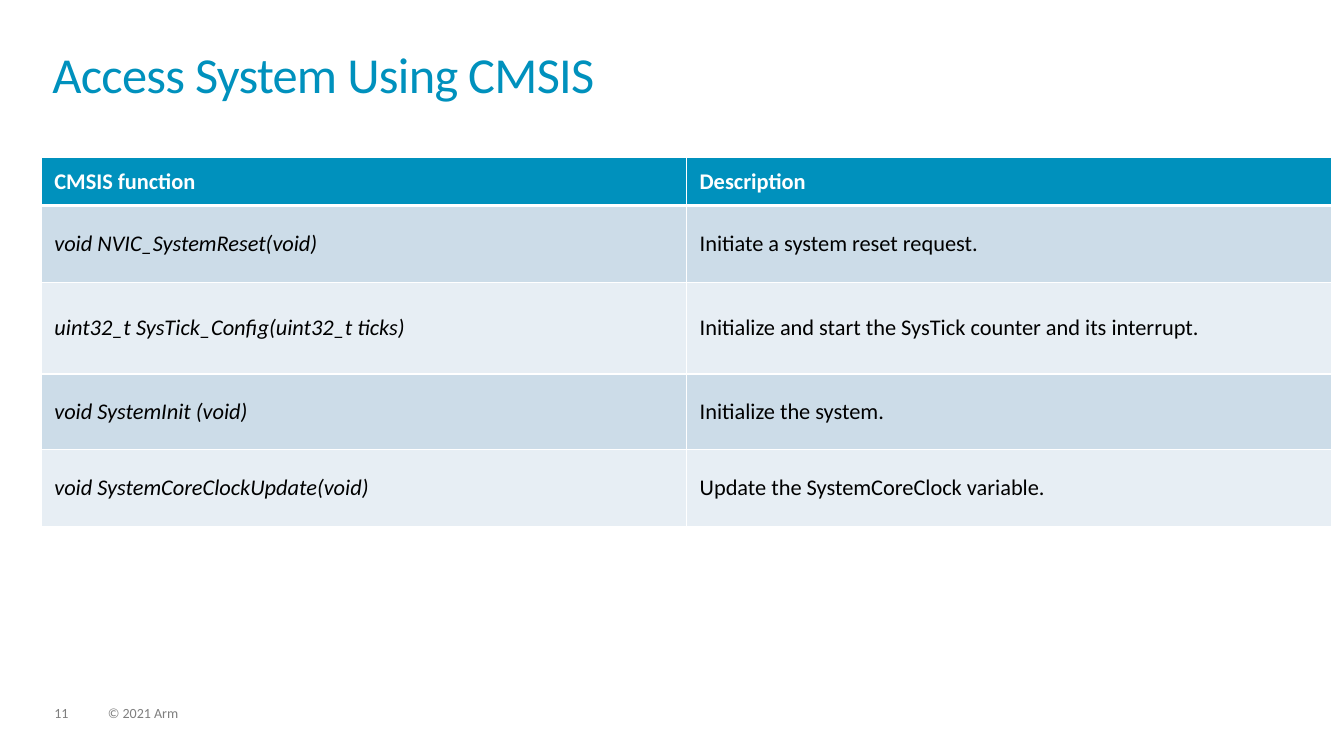
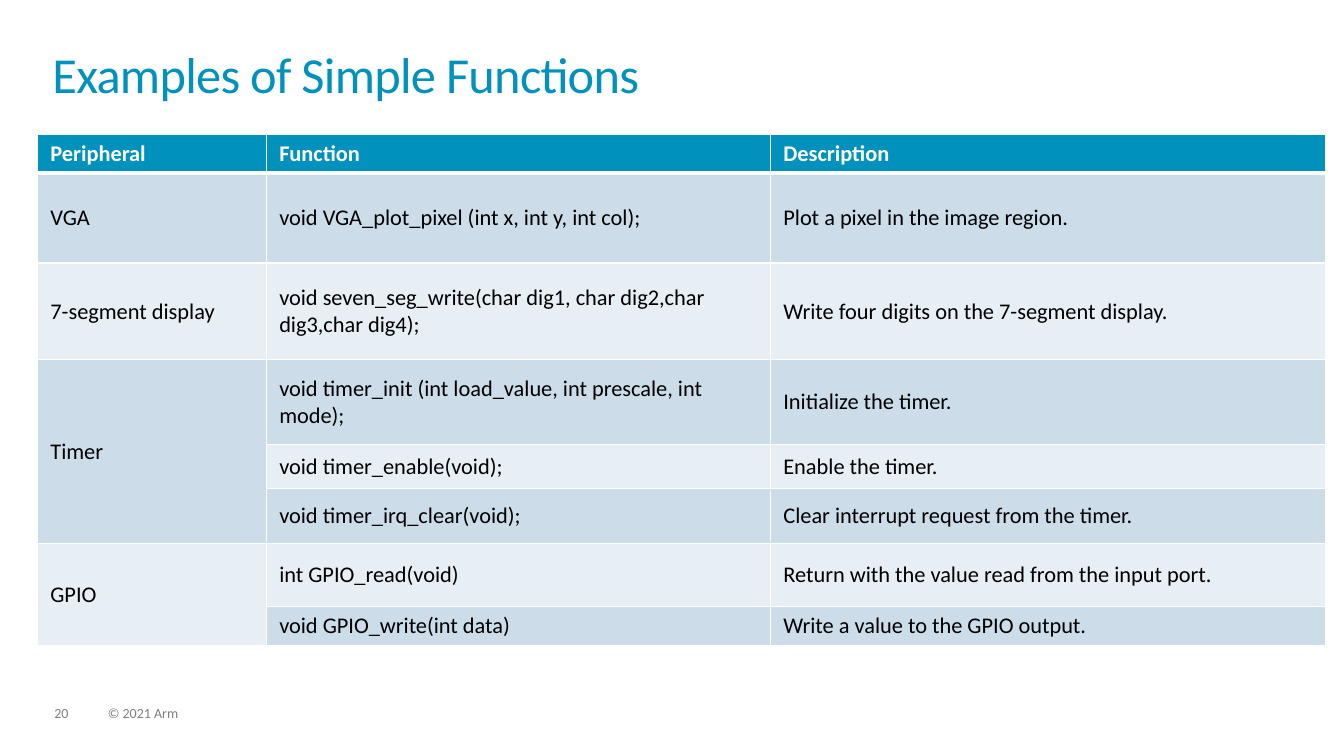
import pptx
import pptx.util
import pptx.dml.color
import pptx.enum.text
import pptx.oxml.ns
from lxml import etree

Inches, Pt = pptx.util.Inches, pptx.util.Pt
RGB = pptx.dml.color.RGBColor
Anchor = pptx.enum.text.MSO_ANCHOR
Fit = pptx.enum.text.MSO_AUTO_SIZE
qn = pptx.oxml.ns.qn

BLUE = RGB(0x00, 0x91, 0xBD)
GRAY = RGB(0x7F, 0x7F, 0x7F)
WHITE = RGB(0xFF, 0xFF, 0xFF)
BLACK = RGB(0x00, 0x00, 0x00)
BANDS = (RGB(0xE7, 0xEE, 0xF4), RGB(0xCC, 0xDC, 0xE8))
FONT = "Calibri"
RIGHTS = "© 2021 Arm"

SLIDES = [
    {
        "title": "Access System Using CMSIS",
        "page": "11",
        "at": (0.41, 1.56),
        "cols": (6.4, 6.4),
        "rows": (0.48, 0.76, 0.91, 0.75, 0.76),
        "italic": (0,),
        "cells": [
            ("CMSIS function", "Description"),
            ("void NVIC_SystemReset(void)", "Initiate a system reset request."),
            ("uint32_t SysTick_Config(uint32_t ticks)",
             "Initialize and start the SysTick counter and its interrupt."),
            ("void SystemInit (void)", "Initialize the system."),
            ("void SystemCoreClockUpdate(void)",
             "Update the SystemCoreClock variable."),
        ],
    },
    {
        "title": "Examples of Simple Functions",
        "page": "20",
        "at": (0.37, 1.33),
        "cols": (2.27, 5, 5.51),
        "rows": (0.39, 0.89, 0.96, 0.84, 0.44, 0.54, 0.63, 0.39),
        "italic": (),
        # None joins a cell to the one above it
        "cells": [
            ("Peripheral", "Function", "Description"),
            ("VGA", "void VGA_plot_pixel (int x, int y, int col);",
             "Plot a pixel in the image region."),
            ("7-segment display",
             "void seven_seg_write(char dig1, char dig2,char dig3,char dig4);",
             "Write four digits on the 7-segment display."),
            ("Timer",
             "void timer_init (int load_value, int prescale, int mode);",
             "Initialize the timer."),
            (None, "void timer_enable(void);", "Enable the timer."),
            (None, "void timer_irq_clear(void);",
             "Clear interrupt request from the timer."),
            ("GPIO", "int GPIO_read(void)",
             "Return with the value read from the input port."),
            (None, "void GPIO_write(int data)",
             "Write a value to the GPIO output."),
        ],
    },
]


def add_run(para, text, size, color, bold=False, italic=False):
    run = para.add_run()
    run.text = text
    font = run.font
    font.name, font.size = FONT, Pt(size)
    font.bold, font.italic = bold, italic
    font.color.rgb = color
    return run


def set_frame(shape, box):
    """Place a shape and clear its text margins."""
    shape.left, shape.top, shape.width, shape.height = map(Inches, box)
    frame = shape.text_frame
    frame.margin_left = frame.margin_right = 0
    frame.margin_top = frame.margin_bottom = 0
    frame.word_wrap = True
    frame.auto_size = Fit.NONE
    frame.vertical_anchor = Anchor.TOP
    return frame.paragraphs[0]


def add_title(slide, text):
    para = set_frame(slide.shapes.title, (0.52, 0.52, 12.28, 0.72))
    para.alignment = pptx.enum.text.PP_ALIGN.LEFT
    para.line_spacing = 0.85
    run = add_run(para, text, 36, BLUE)
    run.font._element.set("spc", "-50")


def add_footer(slide, page):
    for text, left, width in ((page, 0.54, 0.34), (RIGHTS, 1.07, 5.07)):
        box = slide.shapes.add_textbox(0, 0, 0, 0)
        para = set_frame(box, (left, 7.01, width, 0.15))
        para.line_spacing = 0.9
        add_run(para, text, 10, GRAY)


def add_border(cell, side, width):
    props = cell._tc.get_or_add_tcPr()
    line = etree.SubElement(props, qn("a:ln" + side), w=str(Pt(width)))
    fill = etree.SubElement(line, qn("a:solidFill"))
    etree.SubElement(fill, qn("a:srgbClr"), val=str(WHITE))


def style_cell(cell, row):
    cell.margin_left = cell.margin_right = Inches(0.13)
    cell.margin_top = cell.margin_bottom = Inches(0.05)
    cell.vertical_anchor = Anchor.MIDDLE
    thick = {0: "B", 1: "T"}.get(row)
    for side in "LRTB":
        add_border(cell, side, 3 if side == thick else 1)
    cell.fill.solid()
    cell.fill.fore_color.rgb = BANDS[row % 2] if row else BLUE


def add_grid(slide, data):
    cols, rows, cells = data["cols"], data["rows"], data["cells"]
    size = map(Inches, (*data["at"], sum(cols), sum(rows)))
    table = slide.shapes.add_table(len(rows), len(cols), *size).table
    for col, width in zip(table.columns, cols):
        col.width = Inches(width)
    for row, height in zip(table.rows, rows):
        row.height = Inches(height)
    for r, texts in enumerate(cells):
        for c, text in enumerate(texts):
            cell = table.cell(r, c)
            style_cell(cell, r)
            if text is not None:
                add_run(cell.text_frame.paragraphs[0], text, 16,
                        BLACK if r else WHITE, bold=r == 0,
                        italic=r > 0 and c in data["italic"])
    for c in range(len(cols)):
        top = 0
        for r in range(1, len(rows) + 1):
            if r == len(rows) or cells[r][c] is not None:
                if r - top > 1:
                    table.cell(top, c).merge(table.cell(r - 1, c))
                top = r


def main():
    deck = pptx.Presentation()
    deck.slide_width, deck.slide_height = Inches(13.33), Inches(7.5)
    for data in SLIDES:
        slide = deck.slides.add_slide(deck.slide_layouts[5])
        add_footer(slide, data["page"])
        add_title(slide, data["title"])
        add_grid(slide, data)
    deck.save("out.pptx")


if __name__ == "__main__":
    main()
